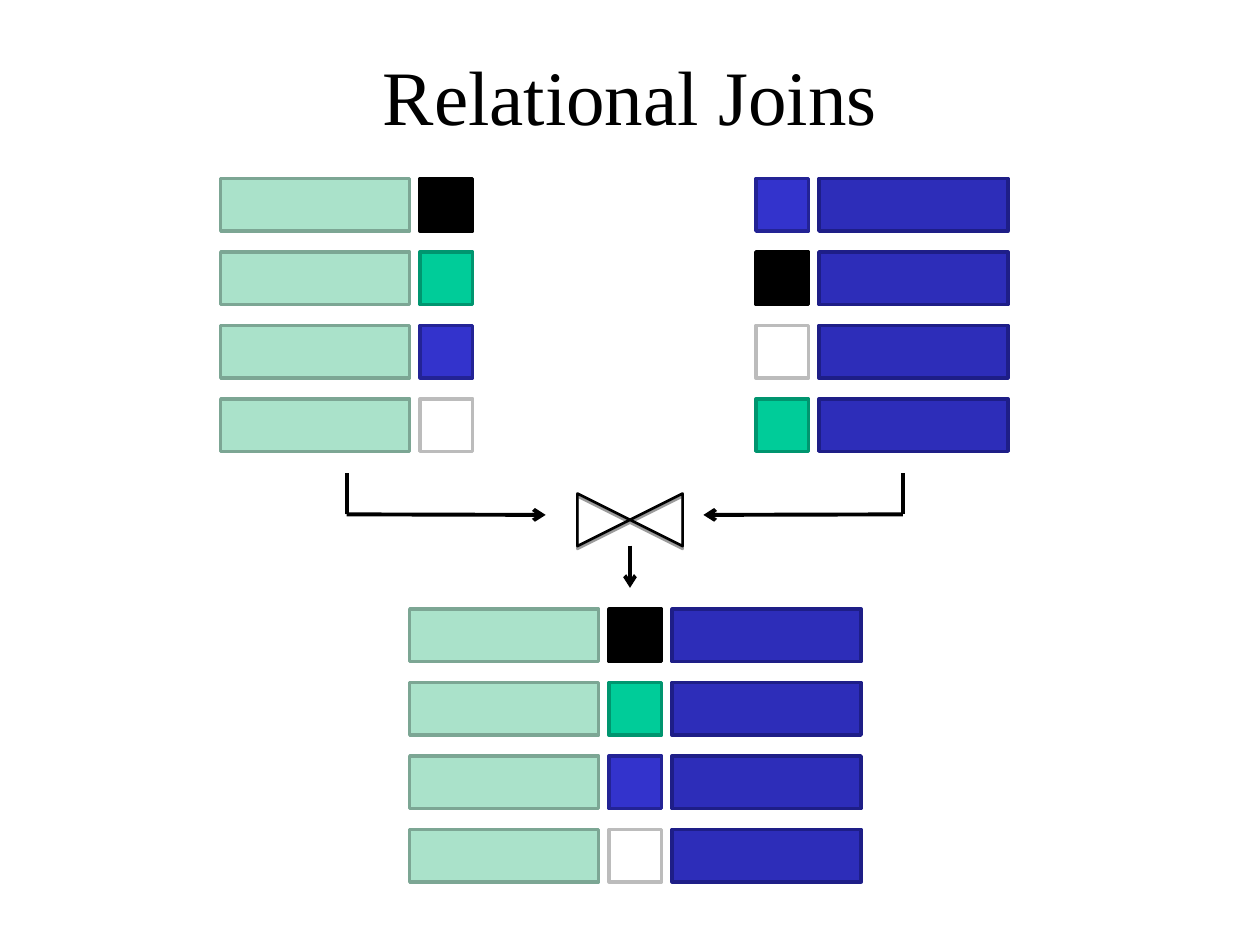
import pptx
import pptx.dml.color
import pptx.enum.shapes
import pptx.enum.text
import pptx.oxml
import pptx.oxml.ns
import pptx.util
from lxml import etree

Cm = pptx.util.Cm
Pt = pptx.util.Pt
SHAPES = pptx.enum.shapes.MSO_SHAPE

COLOURS = {
    "ink": "000000",
    "left": "AAE2CA", "left edge": "7CA694",
    "right": "2D2DB9", "right edge": "1E1E87",
    "black": "000000", "black edge": "000000",
    "green": "00CC99", "green edge": "00956F",
    "blue": "3333CC", "blue edge": "232395",
    "white": "FFFFFF", "white edge": "BCBCBC",
}
CELL = 1.06         # cell height and key width
TUPLE_WIDTH = 3.81  # width of the remaining attributes
GAP = 0.21
ROW_STEP = 1.48


def rgb(name):
    return pptx.dml.color.RGBColor.from_string(COLOURS[name])


def add_line(start, end, arrow=False):
    line = page.shapes.add_connector(
        pptx.enum.shapes.MSO_CONNECTOR.STRAIGHT,
        Cm(start[0]), Cm(start[1]), Cm(end[0]), Cm(end[1]))
    line.line.color.rgb = rgb("ink")
    line.line.width = Pt(2.25)
    if arrow:
        tail = etree.SubElement(line.line._get_or_add_ln(), pptx.oxml.ns.qn("a:tailEnd"))
        tail.set("type", "arrow")
    etree.SubElement(line._element.spPr, pptx.oxml.ns.qn("a:effectLst"))


deck = pptx.Presentation()
deck.slide_width = Cm(25.4)
deck.slide_height = Cm(19.05)
page = deck.slides.add_slide(deck.slide_layouts[6])

# Title
title = page.shapes.add_textbox(Cm(1.91), Cm(0.64), Cm(21.59), Cm(2.54))
title.text_frame.word_wrap = True
title.text_frame.vertical_anchor = pptx.enum.text.MSO_ANCHOR.MIDDLE
para = title.text_frame.paragraphs[0]
para.text = "Relational Joins"
para.alignment = pptx.enum.text.PP_ALIGN.CENTER
para.font.name = "Times New Roman"
para.font.size = Pt(44)
para.font.color.rgb = rgb("ink")

# Join symbol: an hourglass turned on its side
join = page.shapes.add_shape(SHAPES.FLOWCHART_COLLATE, Cm(12.17), Cm(9.42), Cm(1.06), Cm(2.12))
join.rotation = 90
join.fill.background()
join.line.color.rgb = rgb("ink")
join.line.width = Pt(1.5)
join._element.spPr.append(pptx.oxml.parse_xml(
    f'<a:effectLst {pptx.oxml.ns.nsdecls("a")}>'
    '<a:outerShdw blurRad="0" dist="20000" dir="5400000" rotWithShape="0">'
    f'<a:srgbClr val="{COLOURS["ink"]}"><a:alpha val="38000"/></a:srgbClr>'
    '</a:outerShdw></a:effectLst>'))

# Both relations flow into the join, and the result flows out below
for corner_x, tip_x in [(6.99, 11), (18.2, 14.18)]:
    add_line((corner_x, 10.37), (tip_x, 10.38), arrow=True)
    add_line((corner_x, 10.37), (corner_x, 9.53))
add_line((12.7, 11), (12.7, 11.85), arrow=True)

# Relations: left, top, columns, key of each row
relations = [
    (4.45, 3.6, ["left", "key"], ["black", "green", "blue", "white"]),
    (15.24, 3.6, ["key", "right"], ["blue", "black", "white", "green"]),
    (8.26, 12.28, ["left", "key", "right"], ["black", "green", "blue", "white"]),
]
for left, top, columns, keys in relations:
    for index, key in enumerate(keys):
        row = page.shapes.add_group_shape()
        x = left
        for column in columns:
            colour, width = (key, CELL) if column == "key" else (column, TUPLE_WIDTH)
            cell = row.shapes.add_shape(
                SHAPES.RECTANGLE, Cm(x), Cm(top + index * ROW_STEP), Cm(width), Cm(CELL))
            cell.shadow.inherit = False
            cell.fill.solid()
            cell.fill.fore_color.rgb = rgb(colour)
            cell.line.color.rgb = rgb(colour + " edge")
            cell.line.width = Pt(2)
            x += width + GAP

deck.save("out.pptx")
